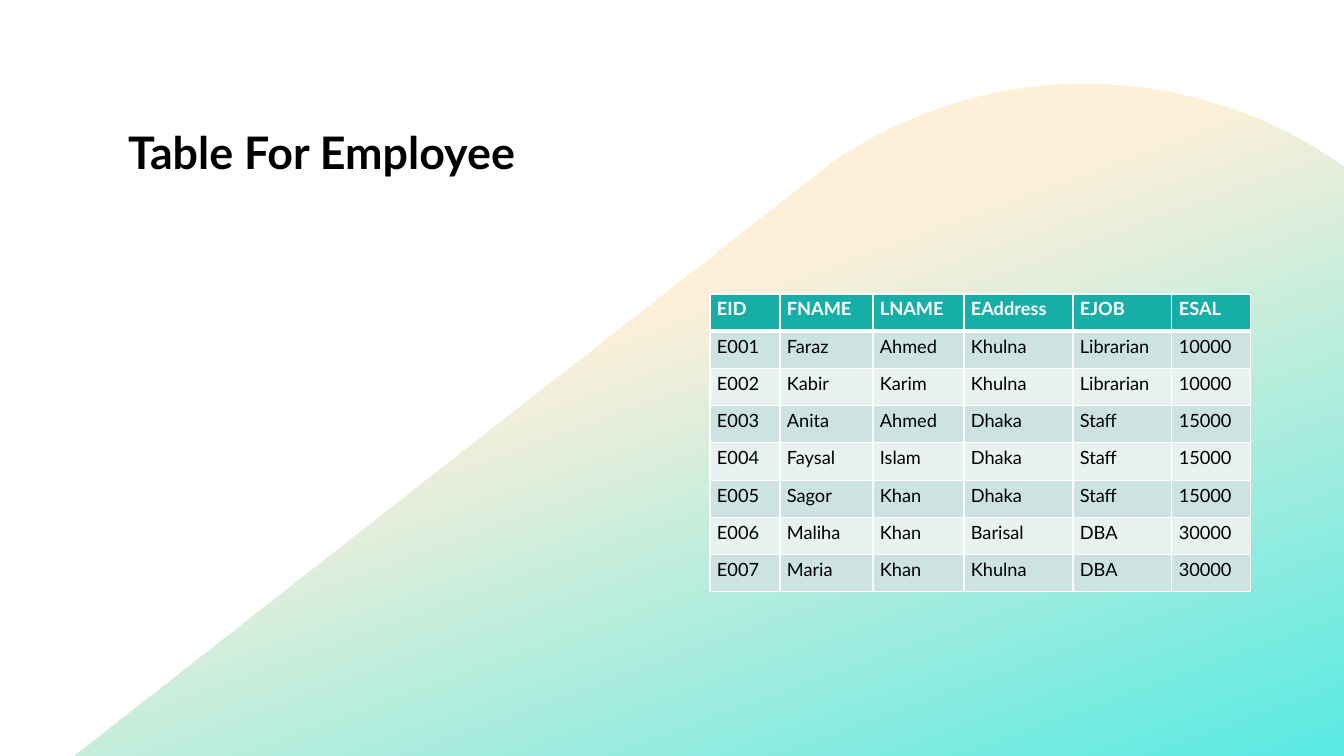
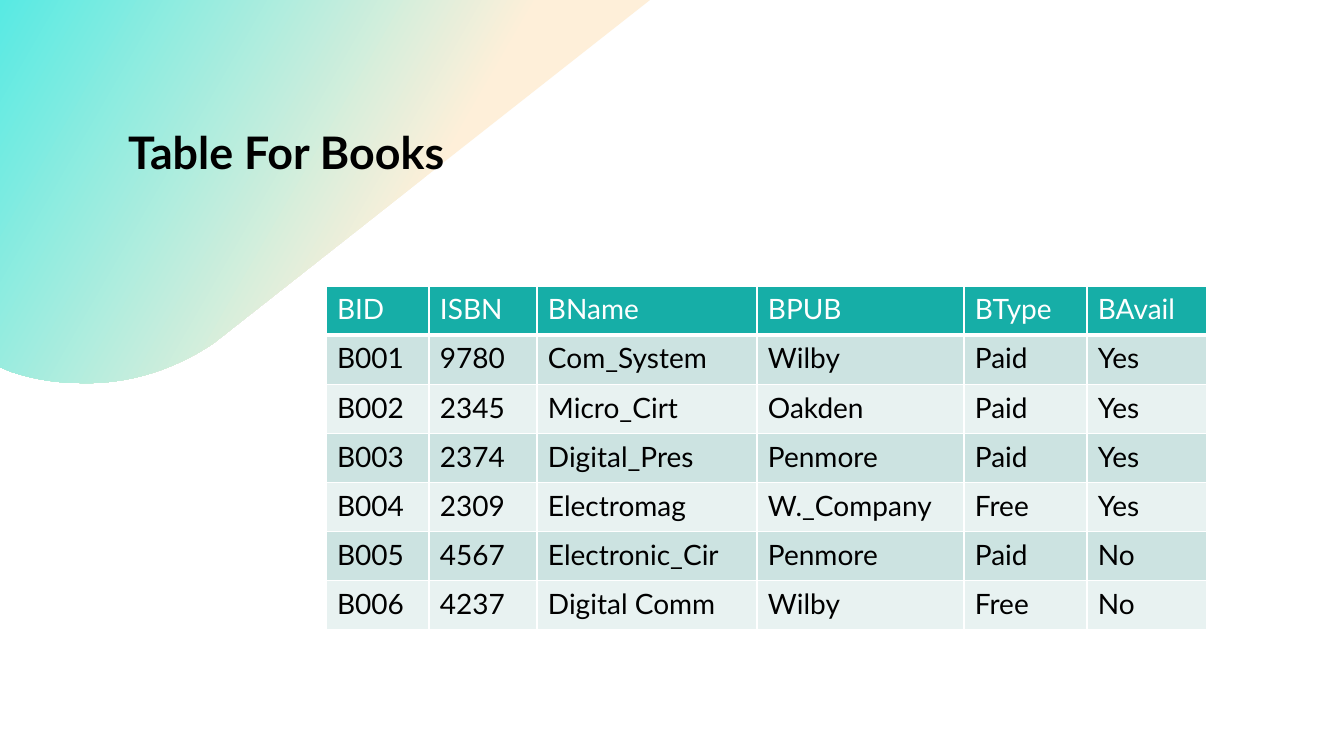
from lxml.etree import SubElement
from pptx import Presentation
from pptx.dml.color import RGBColor
from pptx.enum.text import MSO_ANCHOR as ANCHOR, MSO_AUTO_SIZE as AUTO_SIZE, PP_ALIGN as ALIGN
from pptx.oxml.ns import qn
from pptx.util import Pt

PX = 914400 / 100.8  # EMU in one px
WIDTH, HEIGHT = 1344, 756
FONT = "Lato"
BLACK = RGBColor(0x00, 0x00, 0x00)
WHITE = RGBColor(0xFF, 0xFF, 0xFF)
TEAL = RGBColor(0x16, 0xAE, 0xA7)
BAND_DARK = RGBColor(0xCC, 0xE3, 0xE1)
BAND_LIGHT = RGBColor(0xE8, 0xF2, 0xF1)
PEACH = RGBColor(0xFE, 0xEF, 0xD9)
AQUA = RGBColor(0x58, 0xEA, 0xE3)

EMPLOYEES = [
    ("EID", "FNAME", "LNAME", "EAddress", "EJOB", "ESAL"),
    ("E001", "Faraz", "Ahmed", "Khulna", "Librarian", "10000"),
    ("E002", "Kabir", "Karim", "Khulna", "Librarian", "10000"),
    ("E003", "Anita", "Ahmed", "Dhaka", "Staff", "15000"),
    ("E004", "Faysal", "Islam", "Dhaka", "Staff", "15000"),
    ("E005", "Sagor", "Khan", "Dhaka", "Staff", "15000"),
    ("E006", "Maliha", "Khan", "Barisal", "DBA", "30000"),
    ("E007", "Maria", "Khan", "Khulna", "DBA", "30000"),
]
BOOKS = [
    ("BID", "ISBN", "BName", "BPUB", "BType", "BAvail"),
    ("B001", "9780", "Com_System", "Wilby", "Paid", "Yes"),
    ("B002", "2345", "Micro_Cirt", "Oakden", "Paid", "Yes"),
    ("B003", "2374", "Digital_Pres", "Penmore", "Paid", "Yes"),
    ("B004", "2309", "Electromag", "W._Company", "Free", "Yes"),
    ("B005", "4567", "Electronic_Cir", "Penmore", "Paid", "No"),
    ("B006", "4237", "Digital Comm", "Wilby", "Free", "No"),
]

# A pair is a line's end; a triple of pairs is a curve's two controls and end.
HILL = [
    (1092, 84), ((1175, 85), (1258, 110), (1329, 157)), (1344, 167), (1344, 756),
    (75, 756), (821, 171), (830, 164), ((901, 114), (984, 88), (1065, 84)),
]
CORNER = [
    (80, 383), ((56, 383), (32, 379), (9, 371)), (0, 367), (0, 0),
    (650, 0), (219, 339), (214, 343), ((177, 368), (135, 382), (93, 383)),
]


def emu(px):
    return round(px * PX)


def set_attrs(obj, values):
    for name, value in values.items():
        setattr(obj, name, value)


def curve_points(p0, p1, p2, p3, steps=24):
    """Points along a cubic Bezier curve, without its start."""
    for i in range(1, steps + 1):
        t = i / steps
        u = 1 - t
        yield tuple(u**3 * a + 3 * u * u * t * b + 3 * u * t * t * c + t**3 * d
                    for a, b, c, d in zip(p0, p1, p2, p3))


class Deck:
    """Holds the shared style and the current slide."""

    def __init__(self):
        self.prs = Presentation()
        set_attrs(self.prs, {"slide_width": emu(WIDTH), "slide_height": emu(HEIGHT)})
        self.s = None

    def slide(self, title, width, height):
        self.s = self.prs.slides.add_slide(self.prs.slide_layouts[5])
        sp = self.s.shapes.title
        set_attrs(sp, {"left": emu(118), "top": emu(126),
                       "width": emu(width), "height": emu(height)})
        tf = sp.text_frame
        set_attrs(tf, {"word_wrap": True, "auto_size": AUTO_SIZE.NONE,
                       "vertical_anchor": ANCHOR.TOP})
        p = tf.paragraphs[0]
        set_attrs(p, {"alignment": ALIGN.LEFT, "line_spacing": 0.9})
        self.text(p, title, 32, BLACK, True)

    def text(self, p, text, size, color, bold=False):
        r = p.add_run()
        r.text = text
        set_attrs(r.font, {"name": FONT, "size": Pt(size), "bold": bold})
        r.font.color.rgb = color

    def backdrop(self, outline, angle):
        """Gradient shape behind everything; angle is counter-clockwise."""
        points = [outline[0]]
        for step in outline[1:]:
            is_curve = isinstance(step[0], tuple)
            points += list(curve_points(points[-1], *step)) if is_curve else [step]
        start, *rest = [(emu(x), emu(y)) for x, y in points]
        builder = self.s.shapes.build_freeform(*start, scale=1.0)
        builder.add_line_segments(rest, close=True)
        sp = builder.convert_to_shape()
        sp.shadow.inherit = False
        sp.line.fill.background()
        sp.fill.gradient()
        sp.fill.gradient_angle = angle
        for stop, color, position in zip(sp.fill.gradient_stops, (PEACH, AQUA), (0.38, 1)):
            stop.color.rgb = color
            stop.position = position
        self.s.shapes._spTree.insert(2, sp._element)

    def borders(self, cell, **widths):
        for side, width in widths.items():
            ln = SubElement(cell._tc.get_or_add_tcPr(), qn(f"a:ln{side}"), w=str(Pt(width)))
            fill = SubElement(ln, qn("a:solidFill"))
            SubElement(fill, qn("a:srgbClr"), val=str(WHITE))

    def table(self, rows, left, top, height, widths, size, margins, bold_head):
        frame = self.s.shapes.add_table(len(rows), len(widths), emu(left), emu(top),
                                        emu(sum(widths)), emu(height))
        table = frame.table
        set_attrs(table, {"first_row": False, "horz_banding": False})
        for column, width in zip(table.columns, widths):
            column.width = emu(width)
        side, edge = map(emu, margins)
        for i, row in enumerate(rows):
            head = i == 0
            fill = TEAL if head else (BAND_LIGHT, BAND_DARK)[i % 2]
            for j, value in enumerate(row):
                cell = table.cell(i, j)
                set_attrs(cell, {"margin_left": side, "margin_right": side,
                                 "margin_top": edge, "margin_bottom": edge,
                                 "vertical_anchor": ANCHOR.TOP})
                self.borders(cell, L=1, R=1, T=3 if i == 1 else 1, B=3 if head else 1)
                cell.fill.solid()
                cell.fill.fore_color.rgb = fill
                self.text(cell.text_frame.paragraphs[0], value, size,
                          WHITE if head else BLACK, head and bold_head)


def main():
    deck = Deck()

    deck.slide("Table For Employee", 415, 252)
    deck.backdrop(HILL, 290)
    deck.table(EMPLOYEES, 710, 294, 298, (70, 93, 91, 109, 99, 79),
               size=13, margins=(7, 4), bold_head=True)

    deck.slide("Table For Books", 554, 117)
    deck.backdrop(CORNER, 150)
    deck.table(BOOKS, 326, 286, 344, (103, 108, 220, 207, 123, 120),
               size=20, margins=(11, 6), bold_head=False)

    deck.prs.save("out.pptx")


if __name__ == "__main__":
    main()
